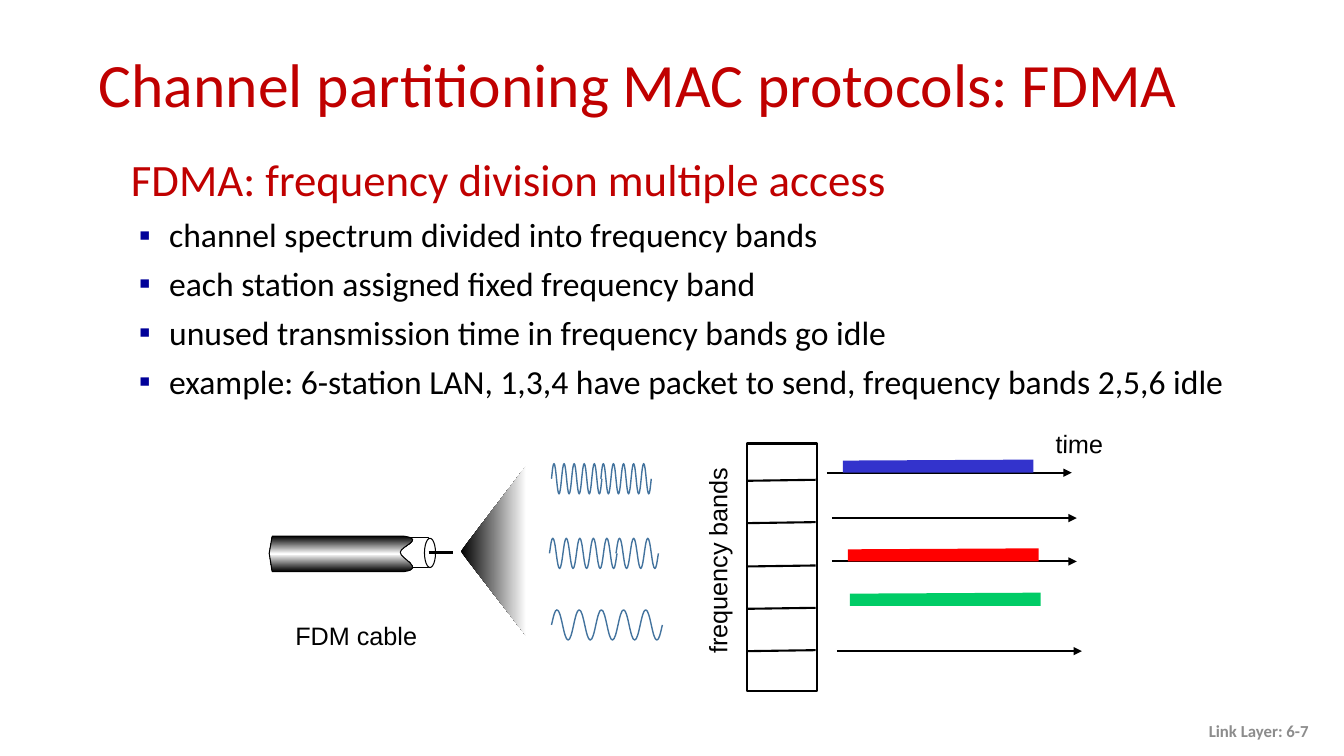
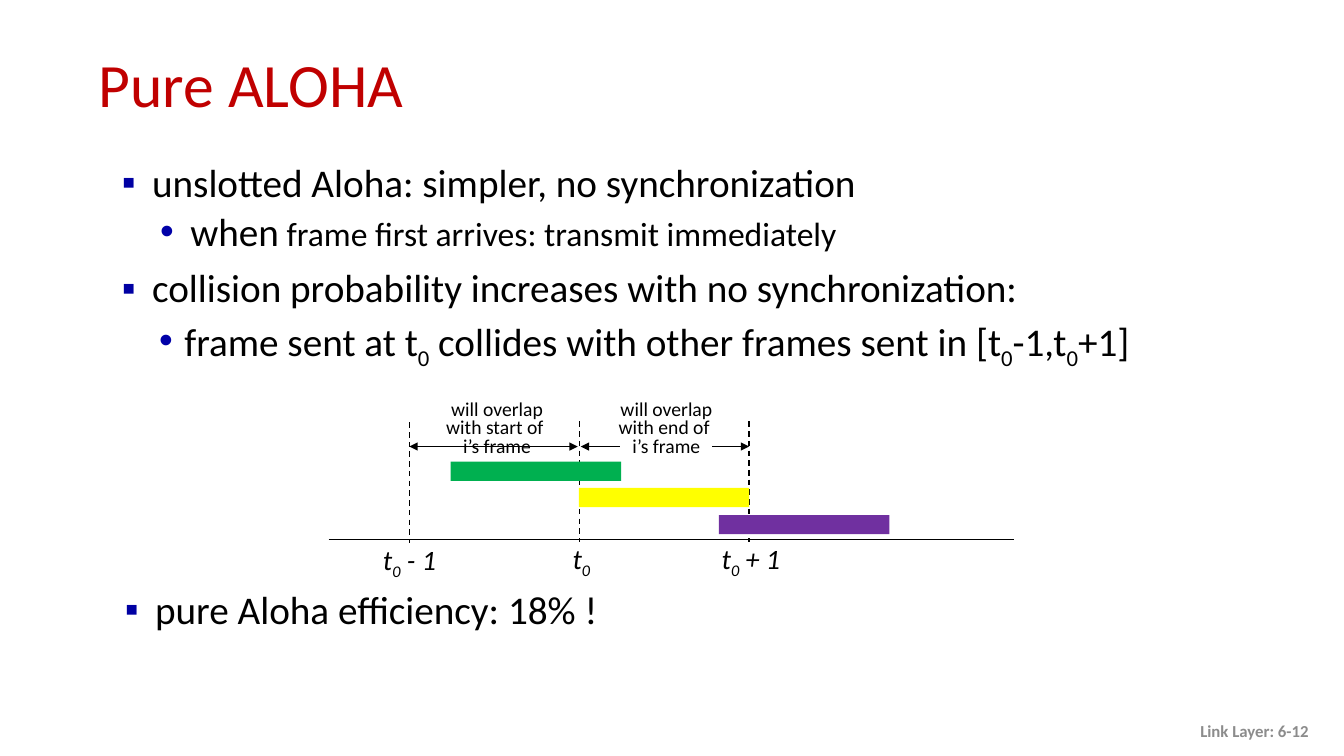
from copy import deepcopy
from dataclasses import dataclass, replace

from lxml import etree
from pptx import Presentation
from pptx.dml.color import RGBColor
from pptx.enum.dml import MSO_LINE
from pptx.enum.shapes import MSO_CONNECTOR, MSO_SHAPE
from pptx.enum.text import MSO_ANCHOR, MSO_AUTO_SIZE, PP_ALIGN
from pptx.oxml.ns import qn
from pptx.util import Pt

PX = 9144  # EMU in one px, 100 px to the inch
RECTANGLE, OVAL = MSO_SHAPE.RECTANGLE, MSO_SHAPE.OVAL
STRAIGHT, DASH = MSO_CONNECTOR.STRAIGHT, MSO_LINE.DASH
TOP, MIDDLE = MSO_ANCHOR.TOP, MSO_ANCHOR.MIDDLE
LEFT, CENTER, RIGHT = PP_ALIGN.LEFT, PP_ALIGN.CENTER, PP_ALIGN.RIGHT
FIXED, GROW = MSO_AUTO_SIZE.NONE, MSO_AUTO_SIZE.SHAPE_TO_FIT_TEXT


@dataclass(frozen=True)
class TextStyle:
    size: int
    color: str = "000000"
    font: str = "Calibri"
    bold: bool = False
    italic: bool = False
    align: PP_ALIGN = LEFT
    spacing: float = 1.0
    before: int = 0
    margin: int = 0
    indent: int = 0
    bullet: str = ""
    bullet_color: str = "0000A3"


class Theme:
    black, white, wave = "000000", "FFFFFF", "43739E"
    blue, red, green = "3333CC", "FF0000", "00CC66"
    earlier, current, later = "00B050", "FFFF00", "7030A0"
    title = TextStyle(44, "C00000", spacing=0.9)
    footer = TextStyle(12, "8C8C8C", bold=True, align=RIGHT)
    heading = TextStyle(32, "C00000", spacing=0.85, before=6, margin=38, indent=-38)
    item = TextStyle(24, before=6, margin=38, indent=-30, bullet="▪", bullet_color="000099")
    point = TextStyle(28, spacing=0.9, before=10, margin=44, indent=-30, bullet="▪")
    detail = TextStyle(28, spacing=0.9, before=5, margin=82, indent=-30,
                       bullet="•", bullet_color="0000A8")
    close_detail = replace(detail, margin=76, indent=-25)
    label = TextStyle(18, font="Arial")
    instant = TextStyle(20, italic=True)
    overlap = TextStyle(14, align=CENTER, spacing=0.8)


def write_text(shape, paragraphs, wrap=True, anchor=TOP):
    """Fill a shape with (style, text) pairs; a bar in the text starts or ends a subscript."""
    frame = shape.text_frame
    frame_format = {"word_wrap": wrap, "auto_size": FIXED if wrap else GROW,
                    "vertical_anchor": anchor}
    for name, value in frame_format.items():
        setattr(frame, name, value)
    for number, (style, text) in enumerate(paragraphs):
        paragraph = frame.add_paragraph() if number else frame.paragraphs[0]
        paragraph_format = {"alignment": style.align, "line_spacing": style.spacing,
                            "space_before": Pt(style.before)}
        for name, value in paragraph_format.items():
            setattr(paragraph, name, value)
        properties = paragraph._p.get_or_add_pPr()
        properties.set("marL", str(style.margin * PX))
        properties.set("indent", str(style.indent * PX))
        if style.bullet:
            color = etree.SubElement(properties, qn("a:buClr"))
            etree.SubElement(color, qn("a:srgbClr"), val=style.bullet_color)
            etree.SubElement(properties, qn("a:buFont"), typeface="Arial")
            etree.SubElement(properties, qn("a:buChar"), char=style.bullet)
        font_format = {"name": style.font, "size": Pt(style.size),
                       "bold": style.bold, "italic": style.italic}
        for piece_number, piece in enumerate(text.split("|")):
            if not piece:
                continue
            run = paragraph.add_run()
            run.text = piece
            for name, value in font_format.items():
                setattr(run.font, name, value)
            run.font.color.rgb = RGBColor.from_string(style.color)
            if piece_number % 2:
                run._r.get_or_add_rPr().set("baseline", "-25000")


def add_line(slide, ends, width, arrows=(), dash=None):
    connector = slide.shapes.add_connector(STRAIGHT, *[PX * n for n in ends])
    connector.line.color.rgb = RGBColor.from_string(Theme.black)
    connector.line.width = Pt(width)
    if dash:
        connector.line.dash_style = dash
    outline = connector.line._get_or_add_ln()
    for end in arrows:
        etree.SubElement(outline, qn(f"a:{end}"), type="triangle")
    etree.SubElement(connector._element.spPr, qn("a:effectLst"))


presentation = Presentation()
presentation.slide_width, presentation.slide_height = 1333 * PX, 750 * PX

slides = []
for title, footer in [
    ("Channel partitioning MAC protocols: FDMA", "Link Layer: 6-7"),
    ("Pure ALOHA", "Link Layer: 6-12"),
]:
    slide = presentation.slides.add_slide(presentation.slide_layouts[5])
    title_shape = slide.shapes.title
    for name, value in {"left": 88, "top": 38, "width": 1150, "height": 98}.items():
        setattr(title_shape, name, value * PX)
    write_text(title_shape, [(Theme.title, title)], anchor=MIDDLE)
    footer_box = slide.shapes.add_textbox(1008 * PX, 705 * PX, 300 * PX, 40 * PX)
    write_text(footer_box, [(Theme.footer, footer)], anchor=MIDDLE)
    slides.append(slide)
fdma, aloha = slides
painted = []  # shape, fill (a tuple is a gradient), gradient angle, line colour, line width

# FDMA: text
body = fdma.shapes.add_textbox(120 * PX, 154 * PX, 1144 * PX, 262 * PX)
write_text(body, [
    (Theme.heading, "FDMA: frequency division multiple access"),
    (Theme.item, "channel spectrum divided into frequency bands"),
    (Theme.item, "each station assigned fixed frequency band"),
    (Theme.item, "unused transmission time in frequency bands go idle"),
    (Theme.item, "example: 6-station LAN, 1,3,4 have packet to send, frequency bands 2,5,6 idle"),
])

# FDMA: frequency bands and their time lines
band_stack = fdma.shapes.add_shape(RECTANGLE, 741 * PX, 440 * PX, 69 * PX, 246 * PX)
painted.append((band_stack, Theme.white, 0, Theme.black, 1.5))
for band in range(5):
    y = round(477 + 42.25 * band)
    add_line(fdma, (741, y, 809, y - 1), 1.5)
for x, y in [(820, 469), (825, 514), (825, 557), (830, 646)]:
    add_line(fdma, (x, y, x + 243, y), 1.5, ["tailEnd"])
for text, box, rotation in [
    ("frequency bands", (609, 536, 205, 40), 270),
    ("time", (1037, 420, 67, 40), 1.1),
    ("FDM cable", (283, 610, 141, 40), 0),
]:
    label = fdma.shapes.add_textbox(*[PX * n for n in box])
    label.rotation = rotation
    write_text(label, [(Theme.label, text)], wrap=False)

# FDMA: outlines, each a start point and then segments of one point (line) or three (curve)
outlines = []
for x, y, color in [(836, 469, Theme.blue), (841, 557, Theme.red), (843, 601, Theme.green)]:
    sides = [[(x, y - 12)], [(x + 189, y - 13)], [(x + 189, y)]]
    outlines.append(((x, y), sides, color, 0, None, 0))
cone = [[(457, 547)], [(522, 631)]]
outlines.append(((522, 462), cone, (Theme.black, Theme.white), 0, None, 0))
jacket = [[(267, 549)], [(270, 567)], [(401, 567)],
          [(422, 564), (397, 554), (397, 548)],
          [(397, 542), (422, 535), (401, 532)]]
metal = (Theme.black, Theme.white, Theme.black)
outlines.append(((270, 532), jacket, metal, 90, Theme.black, 0.75))

for left, right, middle, cycles in [
    (547, 657, 620, 5),
    (547, 597, 475, 5), (596, 646, 475, 5),
    (545, 612, 549, 5), (611, 653, 549, 3),
]:
    quarter = (right - left) / cycles / 4
    turns = [(left + quarter * (2 * turn + 1), middle + (15 if turn % 2 else -15))
             for turn in range(2 * cycles)]
    points = [(left, middle), *turns, (right, middle)]
    swings = []
    for (x, y), (next_x, next_y) in zip(points, points[1:]):
        bend = (next_x - x) * 0.4
        swings.append([(x + bend, y), (next_x - bend, next_y), (next_x, next_y)])
    swings[0][0] = (left + quarter * 0.4, middle - 9)
    swings[-1][1] = (right - quarter * 0.4, middle + 9)
    outlines.append(((left, middle), swings, None, 0, Theme.wave, 1))

sleeve = fdma.shapes.add_shape(RECTANGLE, 396 * PX, 533 * PX, 29 * PX, 30 * PX)
painted.append((sleeve, Theme.white, 0, Theme.black, 0.75))
for start, segments, fill, angle, line_color, width in outlines:
    builder = fdma.shapes.build_freeform(start[0] * PX, start[1] * PX)
    ends = [(segment[-1][0] * PX, segment[-1][1] * PX) for segment in segments]
    builder.add_line_segments(ends, close=fill is not None)
    shape = builder.convert_to_shape()
    drawn_sides = list(shape._element.iter(qn("a:lnTo")))
    for side, segment in zip(drawn_sides, segments):
        if len(segment) == 3:
            curve = etree.Element(qn("a:cubicBezTo"))
            for x, y in segment:
                etree.SubElement(curve, qn("a:pt"), x=str(round(x * PX - shape.left)),
                                 y=str(round(y * PX - shape.top)))
            side.getparent().replace(side, curve)
    painted.append((shape, fill, angle, line_color, width))
sleeve_end = fdma.shapes.add_shape(OVAL, 421 * PX, 534 * PX, 11 * PX, 29 * PX)
painted.append((sleeve_end, Theme.white, 0, Theme.black, 0.75))
add_line(fdma, (425, 548, 449, 548), 2.25)

# ALOHA: text
body = aloha.shapes.add_textbox(97 * PX, 157 * PX, 1150 * PX, 253 * PX)
write_text(body, [
    (Theme.point, "unslotted Aloha: simpler, no synchronization"),
    (Theme.detail, "when"),
    (Theme.point, "collision probability increases with no synchronization:"),
    (Theme.close_detail,
     "frame sent at t|0| collides with other frames sent in [t|0|-1,t|0|+1]"),
])
arrival = body.text_frame.paragraphs[1]
first_run = arrival.runs[0]
first_run._r.addnext(deepcopy(first_run._r))
smaller_run = arrival.runs[1]
smaller_run.text = " frame first arrives: transmit immediately"
smaller_run.font.size = Pt(Theme.item.size)

# ALOHA: time line, frames and labels
for left in (406, 576):
    add_line(aloha, (left, 443, left + 167, 443), 1, ["headEnd", "tailEnd"])
add_line(aloha, (326, 535, 1006, 535), 1)
for x, top in [(743, 418), (575, 418), (406, 419)]:
    add_line(aloha, (x, top, x, top + 120), 1, dash=DASH)
for box, color in [
    ((615, 439, 91, 6), Theme.white),
    ((447, 458, 169, 19), Theme.earlier),
    ((574, 484, 169, 19), Theme.current),
    ((713, 511, 169, 19), Theme.later),
]:
    bar = aloha.shapes.add_shape(RECTANGLE, *[PX * n for n in box])
    painted.append((bar, color, 0, None, 0))
for box, style, lines in [
    ((706, 532, 80, 44), Theme.instant, ["t|0| + 1"]),
    ((370, 533, 75, 44), Theme.instant, ["t|0| - 1"]),
    ((558, 532, 39, 44), Theme.instant, ["t|0|"]),
    ((603, 393, 116, 67), Theme.overlap, ["will overlap", "with end of ", "i’s frame"]),
    ((432, 393, 122, 67), Theme.overlap, ["will overlap", "with start of ", "i’s frame"]),
]:
    label = aloha.shapes.add_textbox(*[PX * n for n in box])
    write_text(label, [(style, line) for line in lines], wrap=False)
efficiency = aloha.shapes.add_textbox(100 * PX, 581 * PX, 1150 * PX, 68 * PX)
write_text(efficiency, [(Theme.point, "pure Aloha efficiency: 18% !")])

# Fills and outlines of every shape
for shape, fill, angle, line_color, width in painted:
    shape.shadow.inherit = False
    if fill is None:
        shape.fill.background()
    elif isinstance(fill, tuple):
        shape.fill.gradient()
        shape.fill.gradient_angle = angle
        stop_list = shape._element.spPr.find(".//" + qn("a:gsLst"))
        while len(stop_list) < len(fill):
            stop_list.append(deepcopy(stop_list[0]))
        for number, (stop, color) in enumerate(zip(shape.fill.gradient_stops, fill)):
            stop.position = number / (len(fill) - 1)
            stop.color.rgb = RGBColor.from_string(color)
    else:
        shape.fill.solid()
        shape.fill.fore_color.rgb = RGBColor.from_string(fill)
    if line_color:
        shape.line.color.rgb = RGBColor.from_string(line_color)
        shape.line.width = Pt(width)
    else:
        shape.line.fill.background()

presentation.save("out.pptx")
